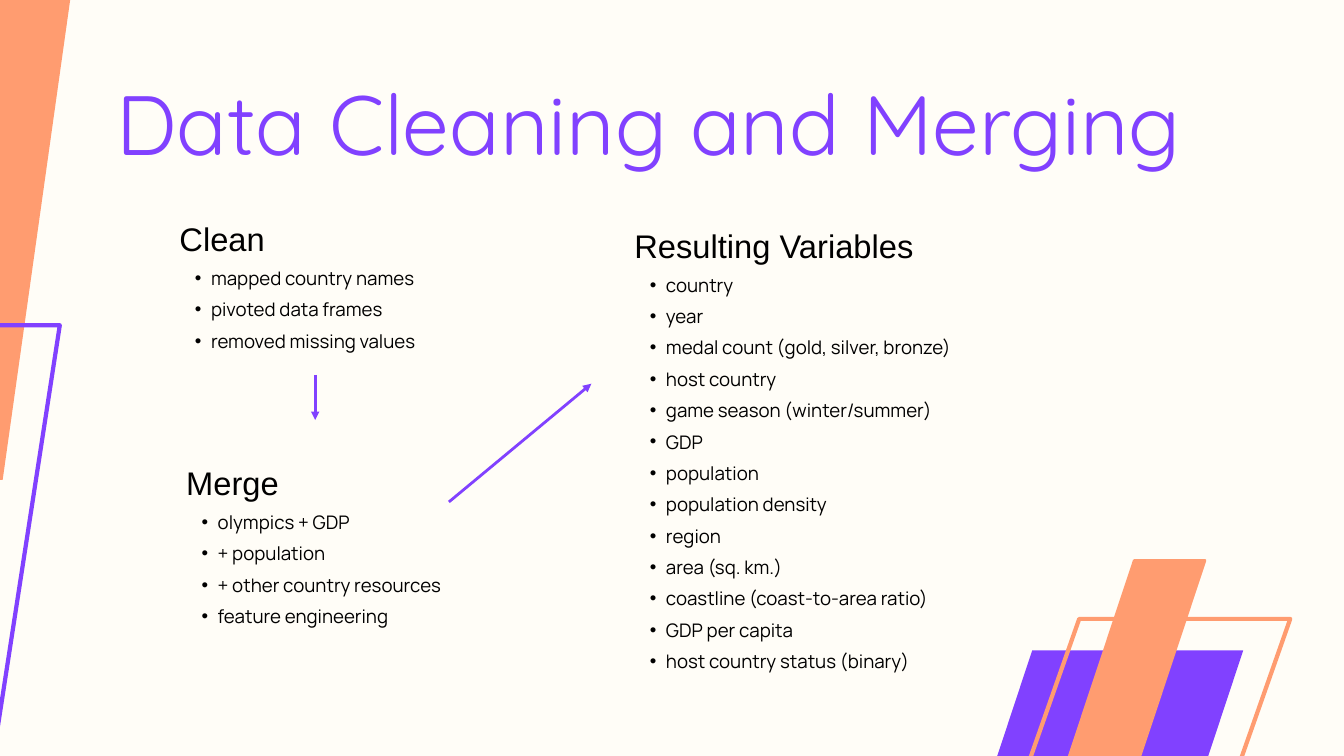
from lxml import etree
from pptx import Presentation
from pptx import util as u
from pptx.dml.color import RGBColor
from pptx.enum import shapes, text
from pptx.oxml import ns

CREAM = RGBColor(0xFF, 0xFD, 0xF7)
PURPLE = RGBColor(0x81, 0x41, 0xFF)
ORANGE = RGBColor(0xFF, 0x9C, 0x70)
BLACK = RGBColor(0, 0, 0)

CLEAN = ["mapped country names", "pivoted data frames", "removed missing values"]
MERGE = ["olympics + GDP", "+ population", "+ other country resources",
         "feature engineering"]
RESULT = ["country", "year", "medal count (gold, silver, bronze)", "host country",
          "game season (winter/summer)", "GDP", "population", "population density",
          "region", "area (sq. km.)", "coastline (coast-to-area ratio)",
          "GDP per capita", "host country status (binary)"]


class Deck:
    """Holds the style and the current slide, and draws each kind of element."""

    def __init__(self, slide):
        self.slide = slide
        fill = slide.background.fill
        fill.solid()
        fill.fore_color.rgb = CREAM

    def place(self, shape, box, inset):
        shape.left, shape.top, shape.width, shape.height = map(u.Inches, box)
        frame = shape.text_frame
        frame.word_wrap = True
        frame.auto_size = text.MSO_AUTO_SIZE.NONE
        frame.vertical_anchor = text.MSO_ANCHOR.TOP
        frame.margin_left = frame.margin_right = u.Inches(inset)
        frame.margin_top = frame.margin_bottom = u.Inches(inset)
        return frame

    def words(self, para, line, font, size, color, space):
        para.line_spacing = space
        para.space_before = para.space_after = u.Pt(0)
        run = para.add_run()
        run.text = line
        run.font.name = font
        run.font.size = u.Pt(size)
        run.font.bold = False
        run.font.color.rgb = color

    def bullet(self, para, mark=None):
        props = para._p.get_or_add_pPr()
        props.set("marL", str(u.Inches(0.47 if mark else 0)))
        props.set("indent", str(u.Inches(-0.24 if mark else 0)))
        if not mark:
            etree.SubElement(props, ns.qn("a:buNone"))
            return
        color = etree.SubElement(props, ns.qn("a:buClr"))
        etree.SubElement(color, ns.qn("a:srgbClr"), val=str(BLACK))
        etree.SubElement(props, ns.qn("a:buFont"), typeface="Arial")
        etree.SubElement(props, ns.qn("a:buChar"), char=mark)

    def title(self, line, box):
        para = self.place(self.slide.shapes.title, box, 0).paragraphs[0]
        para.alignment = text.PP_ALIGN.CENTER
        self.words(para, line, "Quicksand", 90, PURPLE, 1.2)

    def topic(self, slot, head, items, box, inset):
        frame = self.place(self.slide.placeholders[slot], box, inset)
        para = frame.paragraphs[0]
        self.words(para, head, "Arial", 35, BLACK, 1.3)
        self.bullet(para)
        for item in items:
            para = frame.add_paragraph()
            para.level = 1
            self.words(para, item, "Manrope", 20, BLACK, 1.4)
            self.bullet(para, "•")

    def slant(self, left, top, width, height, lean, fill=None, line=None, weight=4.5):
        right, base = left + width, top + height
        points = [(left + lean, top), (right, top), (right - lean, base), (left, base)]
        points = [(u.Inches(x), u.Inches(y)) for x, y in points]
        outline = self.slide.shapes.build_freeform(*points[0])
        outline.add_line_segments(points[1:], close=True)
        shape = outline.convert_to_shape()
        shape.shadow.inherit = False
        if fill is None:
            shape.fill.background()
        else:
            shape.fill.solid()
            shape.fill.fore_color.rgb = fill
        if line is None:
            shape.line.fill.background()
        else:
            shape.line.color.rgb = line
            shape.line.width = u.Pt(weight)

    def arrow(self, *ends):
        link = self.slide.shapes.add_connector(
            shapes.MSO_CONNECTOR.STRAIGHT, *map(u.Inches, ends))
        link.line.color.rgb = PURPLE
        link.line.width = u.Pt(3)
        props = link._element.spPr
        etree.SubElement(props.find(ns.qn("a:ln")), ns.qn("a:tailEnd"), type="triangle")
        etree.SubElement(props, ns.qn("a:effectLst"))


def main():
    show = Presentation()
    show.slide_width, show.slide_height = u.Inches(20), u.Inches(11.25)
    slide = show.slides.add_slide(show.slide_layouts.get_by_name("Comparison"))
    spare = slide.placeholders[4]._element
    spare.getparent().remove(spare)

    deck = Deck(slide)
    deck.title("Data Cleaning and Merging", (1.67, 0.77, 15.97, 1.52))
    deck.topic(1, "Clean", CLEAN, (2.67, 3.08, 4.57, 2.05), 0)
    deck.topic(2, "Merge", MERGE, (2.67, 6.61, 4.57, 2.78), 0.1)
    deck.topic(3, "Resulting Variables", RESULT, (9.34, 3.08, 6.67, 6.96), 0.1)

    deck.slant(-2.86, -0.54, 3.98, 7.68, 1.08, fill=ORANGE)
    deck.slant(14.32, 9.68, 4.18, 3.14, 1.04, fill=PURPLE)
    deck.slant(-3.09, 4.84, 3.98, 7, 1.08, line=PURPLE)
    deck.slant(15.02, 9.21, 4.18, 2.96, 1.04, line=ORANGE)
    deck.slant(15.84, 8.34, 2.09, 3.13, 1.04, fill=ORANGE, line=ORANGE, weight=3)

    deck.arrow(4.69, 5.58, 4.69, 6.25)
    deck.arrow(6.68, 7.47, 8.8, 5.71)
    show.save("out.pptx")


if __name__ == "__main__":
    main()
